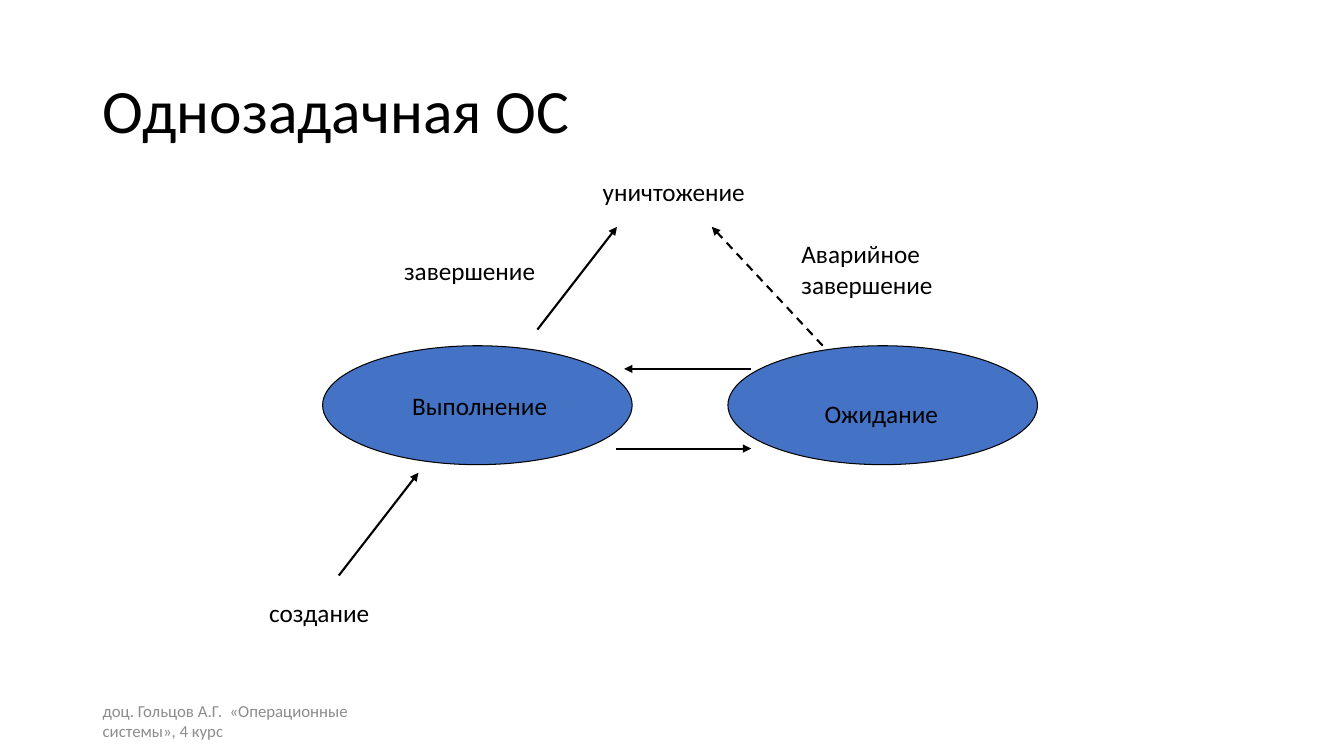
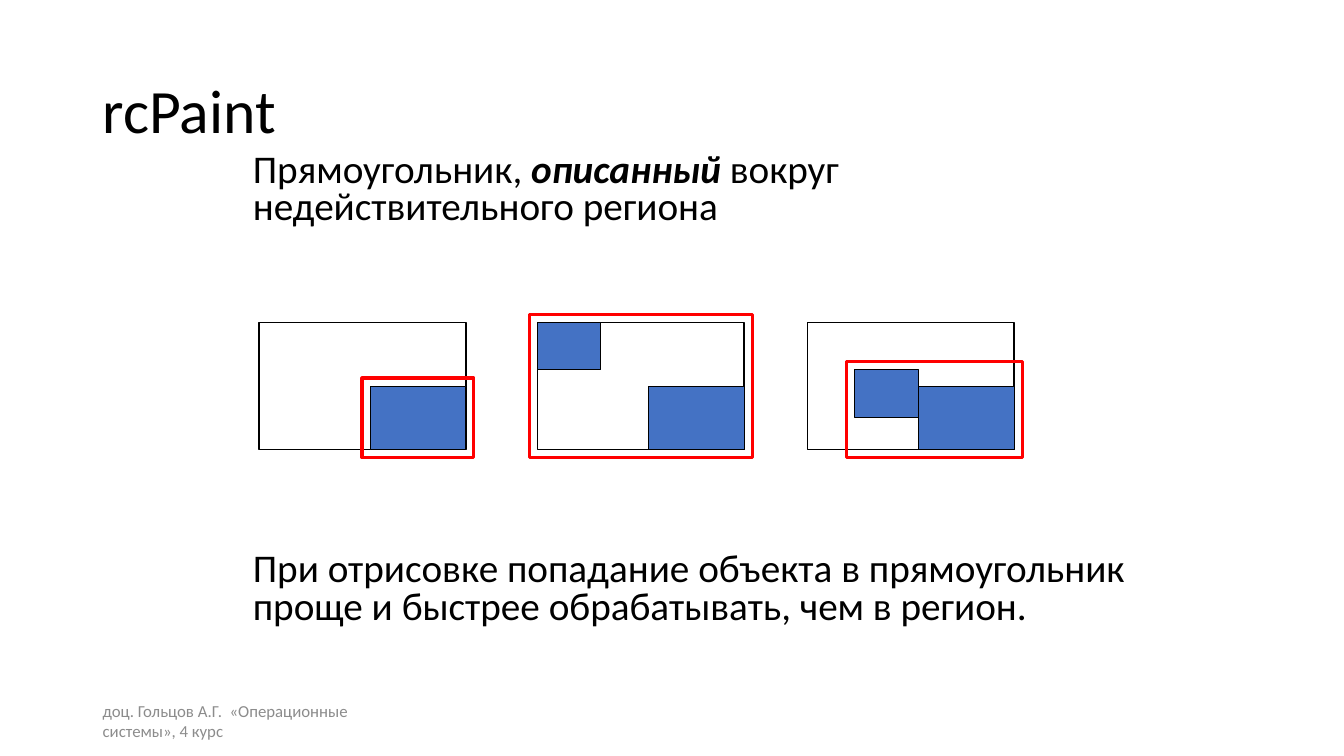
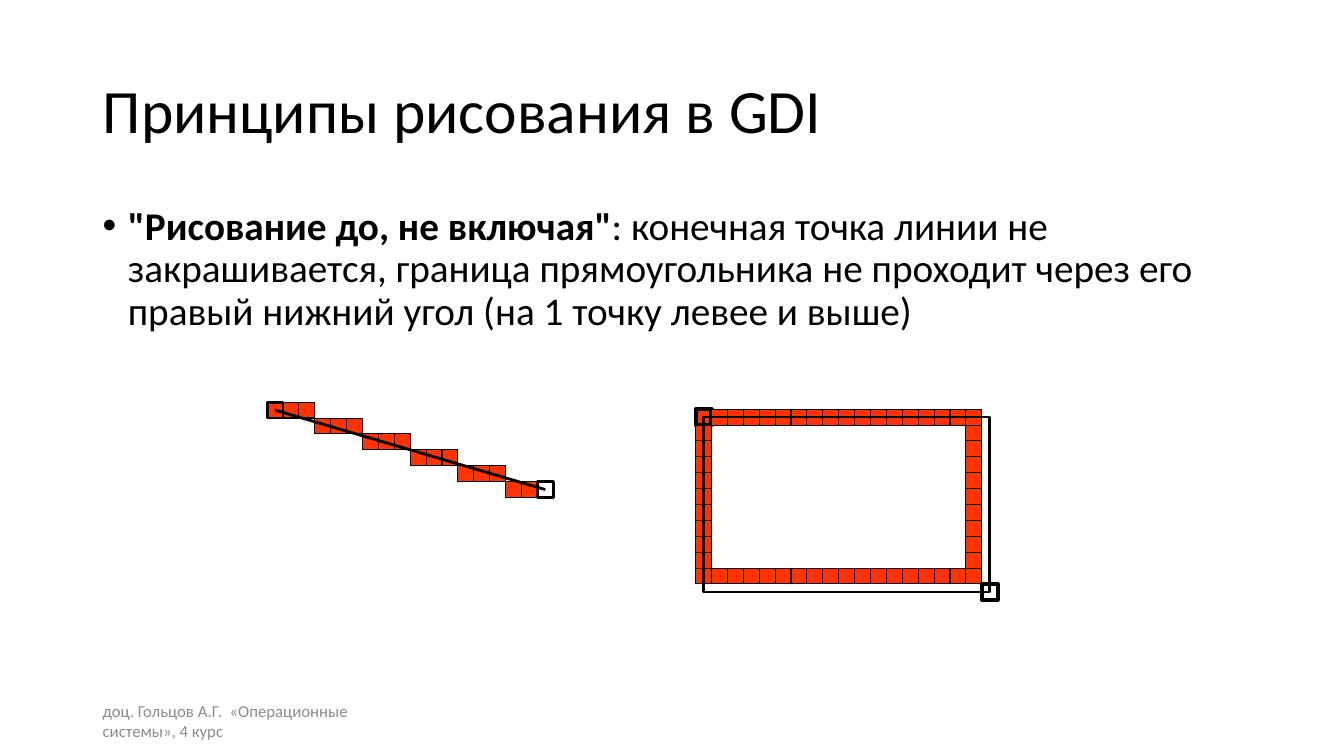
from dataclasses import dataclass
from typing import NamedTuple

from lxml.etree import SubElement
from pptx import Presentation
from pptx.dml.color import RGBColor
from pptx.enum.dml import MSO_LINE
from pptx.enum.shapes import MSO_CONNECTOR, MSO_SHAPE
from pptx.enum.text import MSO_ANCHOR, MSO_AUTO_SIZE, PP_ALIGN
from pptx.oxml.ns import qn
from pptx.shapes.autoshape import Shape
from pptx.slide import Slide
from pptx.text.text import TextFrame
from pptx.util import Inches, Pt


@dataclass(frozen=True)
class Theme:
    font: str = "Calibri"
    black: str = "000000"
    white: str = "FFFFFF"
    gray: str = "8C8C8C"
    blue: str = "4472C4"
    red: str = "FF0000"
    orange: str = "FF3300"
    title_size: int = 44
    body_size: int = 28
    label_size: int = 18
    footer_size: int = 12


class Box(NamedTuple):
    left: float
    top: float
    width: float
    height: float


class Span(NamedTuple):
    text: str
    bold: bool = False
    italic: bool = False


class Label(NamedTuple):
    text: str
    box: Box


class Arrow(NamedTuple):
    start: tuple[float, float]
    end: tuple[float, float]
    dashed: bool = False


class Window(NamedTuple):
    """A window on screen and its invalid patches, placed relative to it."""
    left: float
    patches: list[Box]


THEME = Theme()
TITLE_BOX = Box(0.92, 0.4, 11.5, 1.45)
FOOTER_BOX = Box(0.92, 6.95, 3, 0.4)
FOOTER = "доц. Гольцов А.Г.  «Операционные системы», 4 курс"

STATES = [Box(3.2, 3.43, 3.07, 1.18), Box(7.22, 3.43, 3.07, 1.18)]
TRANSITIONS = [
    Arrow((3.36, 5.71), (4.15, 4.69)),
    Arrow((5.33, 3.27), (6.12, 2.25)),
    Arrow((6.11, 4.45), (7.45, 4.45)),
    Arrow((7.45, 3.66), (6.19, 3.66)),
    Arrow((8.16, 3.43), (7.06, 2.25), dashed=True),
]
STATE_LABELS = [
    Label("Выполнение", Box(3.99, 3.82, 1.97, 0.4)),
    Label("Ожидание", Box(8.08, 3.9, 1.5, 0.4)),
    Label("создание", Box(2.57, 5.88, 2.28, 0.4)),
    Label("уничтожение", Box(5.88, 1.7, 2.2, 0.4)),
    Label("завершение", Box(3.91, 2.48, 2.76, 0.4)),
    Label("Аварийное завершение", Box(7.85, 2.32, 1.65, 0.7)),
]

WINDOW_TOP, WINDOW_WIDTH, WINDOW_HEIGHT = 3.2, 2.05, 1.26
PAINT_MARGIN = 0.08
CORNER_PATCH = Box(1.1, 0.63, 0.95, 0.63)
WINDOWS = [
    Window(2.57, [CORNER_PATCH]),
    Window(5.33, [Box(0, 0, 0.63, 0.47), CORNER_PATCH]),
    Window(8.01, [Box(0.47, 0.47, 0.63, 0.47), CORNER_PATCH]),
]

PIXEL = 2.68 / 17
LINE_STEPS, LINE_RUN = 17, 3
FRAME_COLUMNS, FRAME_ROWS = 18, 11


def emu(values: tuple[float, ...]) -> list[int]:
    return [Inches(v) for v in values]


def write(tf: TextFrame, spans: list[Span], size: int, color: str = THEME.black,
          spacing: float = 1.0, anchor: MSO_ANCHOR = MSO_ANCHOR.TOP) -> None:
    frame_format = {"word_wrap": True, "auto_size": MSO_AUTO_SIZE.NONE,
                    "vertical_anchor": anchor}
    for name, value in frame_format.items():
        setattr(tf, name, value)
    p = tf.paragraphs[0]
    p.alignment, p.line_spacing = PP_ALIGN.LEFT, spacing
    for span in spans:
        r = p.add_run()
        r.text = span.text
        font_format = {"name": THEME.font, "size": Pt(size),
                       "bold": span.bold, "italic": span.italic}
        for name, value in font_format.items():
            setattr(r.font, name, value)
        r.font.color.rgb = RGBColor.from_string(color)


def add_text(s: Slide, box: Box, spans: list[Span], size: int, color: str = THEME.black,
             spacing: float = 1.0, anchor: MSO_ANCHOR = MSO_ANCHOR.TOP) -> Shape:
    sp = s.shapes.add_textbox(*emu(box))
    write(sp.text_frame, spans, size, color, spacing, anchor)
    return sp


def add_figure(s: Slide, box: Box, fill: str | None, line: str = THEME.black,
               weight: float = 0.75, kind: MSO_SHAPE = MSO_SHAPE.RECTANGLE) -> None:
    sp = s.shapes.add_shape(kind, *emu(box))
    sp.shadow.inherit = False
    if fill is None:
        sp.fill.background()
    else:
        sp.fill.solid()
        sp.fill.fore_color.rgb = RGBColor.from_string(fill)
    sp.line.color.rgb = RGBColor.from_string(line)
    sp.line.width = Pt(weight)


def add_line(s: Slide, line: Arrow, weight: float, head: bool = False) -> None:
    cxn = s.shapes.add_connector(MSO_CONNECTOR.STRAIGHT, *emu(line.start + line.end))
    cxn.line.color.rgb = RGBColor.from_string(THEME.black)
    cxn.line.width = Pt(weight)
    if line.dashed:
        cxn.line.dash_style = MSO_LINE.DASH
    sp_pr = cxn._element.spPr
    if head:
        SubElement(sp_pr.find(qn("a:ln")), qn("a:tailEnd"), type="triangle")
    SubElement(sp_pr, qn("a:effectLst"))


def add_bullet(sp: Shape) -> None:
    p_pr = sp.text_frame.paragraphs[0]._p.get_or_add_pPr()
    p_pr.set("marL", str(Inches(0.25)))
    p_pr.set("indent", str(Inches(-0.25)))
    SubElement(p_pr, qn("a:buFont"), typeface="Arial")
    SubElement(p_pr, qn("a:buChar"), char="•")


def add_titled_slide(prs: Presentation, title: str) -> Slide:
    s = prs.slides.add_slide(prs.slide_layouts[5])
    for name, value in zip(Box._fields, emu(TITLE_BOX)):
        setattr(s.shapes.title, name, value)
    write(s.shapes.title.text_frame, [Span(title)], THEME.title_size,
          spacing=0.9, anchor=MSO_ANCHOR.MIDDLE)
    add_text(s, FOOTER_BOX, [Span(FOOTER)], THEME.footer_size, THEME.gray,
             anchor=MSO_ANCHOR.MIDDLE)
    return s


def build_states(prs: Presentation) -> None:
    s = add_titled_slide(prs, "Однозадачная ОС")
    for box in STATES:
        add_figure(s, box, THEME.blue, kind=MSO_SHAPE.OVAL)
    for arrow in TRANSITIONS:
        add_line(s, arrow, 1.5, head=True)
    for label in STATE_LABELS:
        add_text(s, label.box, [Span(label.text)], THEME.label_size)


def bounding_box(boxes: list[Box], margin: float) -> Box:
    left = min(b.left for b in boxes) - margin
    top = min(b.top for b in boxes) - margin
    right = max(b.left + b.width for b in boxes) + margin
    bottom = max(b.top + b.height for b in boxes) + margin
    return Box(left, top, right - left, bottom - top)


def add_window(s: Slide, window: Window) -> None:
    """Draw a window, its invalid patches and the rectangle around them."""
    add_figure(s, Box(window.left, WINDOW_TOP, WINDOW_WIDTH, WINDOW_HEIGHT),
               THEME.white, weight=1.25)
    patches = [b._replace(left=window.left + b.left, top=WINDOW_TOP + b.top)
               for b in window.patches]
    for patch in patches:
        add_figure(s, patch, THEME.blue)
    add_figure(s, bounding_box(patches, PAINT_MARGIN), None, THEME.red, 2.25)


def build_paint_rect(prs: Presentation) -> None:
    s = add_titled_slide(prs, "rcPaint")
    definition = [Span("Прямоугольник, "), Span("описанный", bold=True, italic=True),
                  Span(" вокруг недействительного региона")]
    reason = [Span("При отрисовке попадание объекта в прямоугольник проще и быстрее "
                   "обрабатывать, чем в регион.")]
    for top, spans in ((1.47, definition), (5.43, reason)):
        add_text(s, Box(2.41, top, 9, 0.9), spans, THEME.body_size, spacing=0.8)
    for window in WINDOWS:
        add_window(s, window)


def add_pixel(s: Slide, origin: tuple[float, float], column: int, row: int,
              fill: str = THEME.orange, weight: float = 0.75) -> None:
    left, top = origin
    add_figure(s, Box(left + column * PIXEL, top + row * PIXEL, PIXEL, PIXEL),
               fill, weight=weight)


def pixel_center(origin: tuple[float, float], column: int, row: int) -> tuple[float, float]:
    left, top = origin
    return left + (column + 0.5) * PIXEL, top + (row + 0.5) * PIXEL


def add_pixel_line(s: Slide, origin: tuple[float, float]) -> None:
    for step in range(LINE_STEPS):
        add_pixel(s, origin, step, step // LINE_RUN, weight=0.75 if step else 2)
    end = (LINE_STEPS, LINE_STEPS // LINE_RUN)
    add_pixel(s, origin, *end, fill=THEME.white, weight=2)
    add_line(s, Arrow(pixel_center(origin, 0, 0), pixel_center(origin, *end)), 2)


def add_pixel_frame(s: Slide, origin: tuple[float, float]) -> None:
    for row in range(FRAME_ROWS):
        for column in range(FRAME_COLUMNS):
            if row in (0, FRAME_ROWS - 1) or column in (0, FRAME_COLUMNS - 1):
                add_pixel(s, origin, column, row, weight=0.75 if row or column else 3)
    add_pixel(s, origin, FRAME_COLUMNS, FRAME_ROWS, THEME.white, 3)
    add_figure(s, Box(*pixel_center(origin, 0, 0), FRAME_COLUMNS * PIXEL,
                      FRAME_ROWS * PIXEL), None, weight=1.75)


def build_gdi(prs: Presentation) -> None:
    s = add_titled_slide(prs, "Принципы рисования в GDI")
    rule = [Span('"Рисование до, не включая"', bold=True),
            Span(": конечная точка линии не закрашивается, граница прямоугольника не "
                 "проходит через его правый нижний угол (на 1 точку левее и выше)")]
    add_bullet(add_text(s, Box(0.92, 2, 11.5, 1.4), rule, THEME.body_size, spacing=0.9))
    add_pixel_line(s, (2.65, 3.99))
    add_pixel_frame(s, (6.9, 4.06))


def main() -> None:
    prs = Presentation()
    prs.slide_width, prs.slide_height = Inches(13.33), Inches(7.5)
    for build in (build_states, build_paint_rect, build_gdi):
        build(prs)
    prs.save("out.pptx")


if __name__ == "__main__":
    main()
